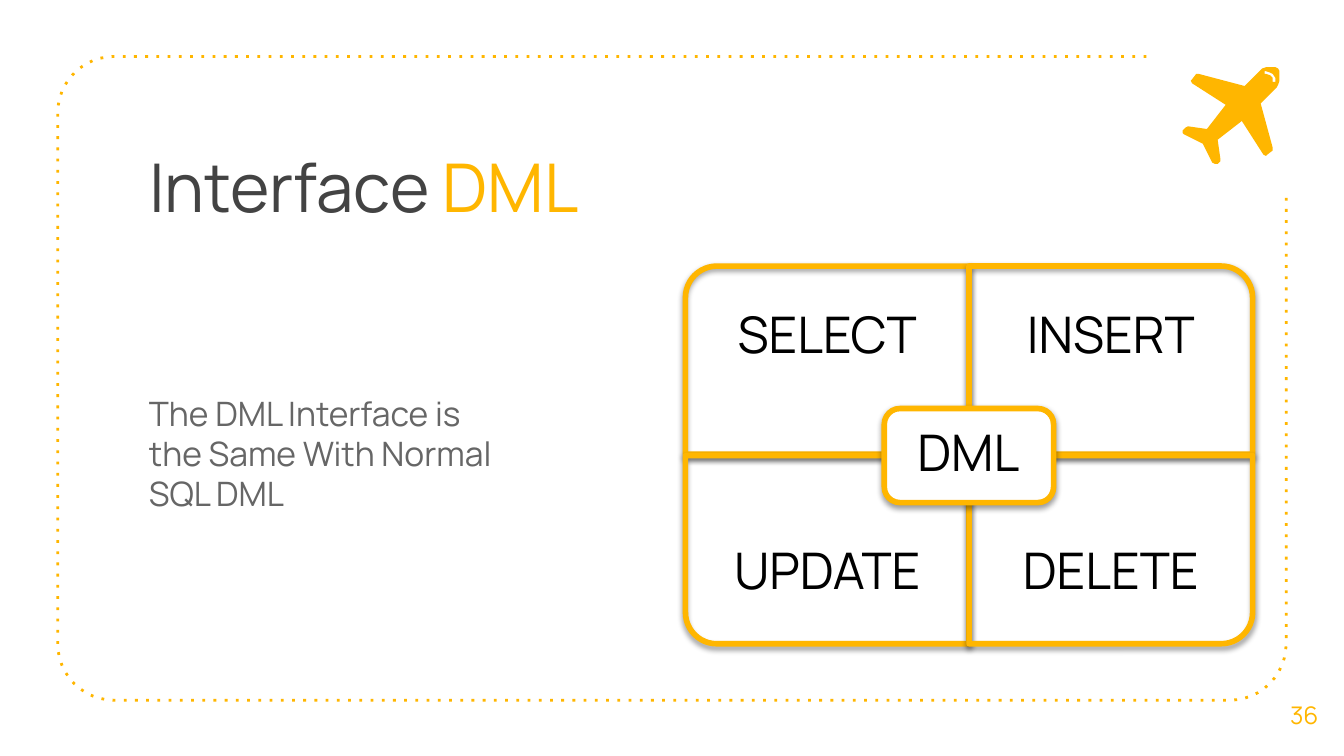
import math

from lxml import etree
from pptx import Presentation
from pptx.dml.color import RGBColor
from pptx.enum.shapes import MSO_SHAPE
from pptx.enum.text import MSO_ANCHOR, PP_ALIGN
from pptx.oxml.ns import qn
from pptx.util import Inches, Pt

CARD, HUB = MSO_SHAPE.ROUND_1_RECTANGLE, MSO_SHAPE.ROUNDED_RECTANGLE
LEFT, CENTER = PP_ALIGN.LEFT, PP_ALIGN.CENTER
TOP, MIDDLE = MSO_ANCHOR.TOP, MSO_ANCHOR.MIDDLE
FONT, GOLD, BLACK = "Manrope", "FFB600", "000000"

# Airplane outline and the window cut out of its nose
PLANE = [
    (9.46, 0.5), (9.42, 0.5), (9.39, 0.51), (9.37, 0.53), (9.26, 0.64),
    (8.92, 0.55), (8.9, 0.55), (8.87, 0.59), (8.86, 0.6), (8.87, 0.62),
    (9.12, 0.78), (8.98, 0.96), (8.84, 0.94), (8.82, 0.95), (8.8, 0.97),
    (8.8, 0.99), (8.81, 1), (8.95, 1.07), (9.02, 1.21), (9.04, 1.22),
    (9.06, 1.22), (9.08, 1.2), (9.08, 1.18), (9.06, 1.04), (9.24, 0.9),
    (9.4, 1.15), (9.42, 1.16), (9.43, 1.15), (9.47, 1.12), (9.47, 1.1),
    (9.38, 0.77), (9.5, 0.65), (9.51, 0.63), (9.52, 0.6), (9.52, 0.53),
    (9.51, 0.51), (9.49, 0.5),
]
GLASS = [
    (9.42, 0.53), (9.45, 0.54), (9.47, 0.55), (9.49, 0.58), (9.49, 0.61),
    (9.48, 0.61), (9.47, 0.61), (9.47, 0.58), (9.45, 0.56), (9.42, 0.55),
    (9.41, 0.55), (9.41, 0.53),
]


def color(code):
    return RGBColor.from_string(code)


def put(shape, *runs, size, align=LEFT, anchor=TOP, inset=0.1, lead=None,
        before=None):
    """Fill a shape with one paragraph of (text, colour) runs."""
    frame = shape.text_frame
    frame.word_wrap = True
    frame.vertical_anchor = anchor
    frame.margin_left = frame.margin_right = Inches(inset)
    frame.margin_top = frame.margin_bottom = Inches(inset)
    para = frame.paragraphs[0]
    para.alignment = align
    if lead:
        para.line_spacing = lead
    if before is not None:
        para.space_before = Pt(before)
    for words, code in runs:
        run = para.add_run()
        run.text = words
        run.font.name, run.font.size = FONT, Pt(size)
        run.font.color.rgb = color(code)


def add_text(shapes, box, *runs, **fmt):
    put(shapes.add_textbox(*map(Inches, box)), *runs, **fmt)


def add_label(shapes, box, words, inset):
    add_text(shapes, box, (words, BLACK), size=27, align=CENTER,
             anchor=MIDDLE, inset=inset, lead=0.9)


def shade(shape):
    """Give a shape a soft shadow straight below it."""
    shape.shadow.inherit = False
    effects = shape.element.spPr.find(qn("a:effectLst"))
    outer = etree.SubElement(effects, qn("a:outerShdw"), blurRad=str(Pt(3.1)),
                             dist=str(Pt(1.6)), dir="5400000", rotWithShape="0")
    tint = etree.SubElement(outer, qn("a:srgbClr"), val=BLACK)
    etree.SubElement(tint, qn("a:alpha"), val="38000")


def add_card(shapes, kind, box, turn=0, fill=None):
    card = shapes.add_shape(kind, *map(Inches, box))
    card.rotation = turn
    if fill:
        card.fill.solid()
        card.fill.fore_color.rgb = color(fill)
    else:
        card.fill.background()
    card.line.color.rgb = color(GOLD)
    card.line.width = Pt(3)
    shade(card)


def add_path(shapes, *loops, close):
    """Build one freeform from lists of points in inches."""
    loops = [[(Inches(x), Inches(y)) for x, y in loop] for loop in loops]
    pen = shapes.build_freeform(*loops[0][0])
    for i, loop in enumerate(loops):
        if i:
            pen.move_to(*loop[0])
        pen.add_line_segments(loop[1:], close=close)
    path = pen.convert_to_shape()
    path.shadow.inherit = False
    return path


def arc(x, y, radius, start):
    """Points of a quarter turn, running against the clock."""
    turns = [math.radians(start - 7.5 * i) for i in range(13)]
    return [(x + radius * math.cos(t), y + radius * math.sin(t))
            for t in turns]


def add_frame(shapes):
    left, top, right, low, r = 0.43, 0.42, 9.57, 5.21, 0.42
    points = [(8.53, top)]
    points += arc(left + r, top + r, r, 270)
    points += arc(left + r, low - r, r, 180)
    points += arc(right - r, low - r, r, 90)
    points += [(right, 1.46)]
    frame = add_path(shapes, points, close=False)
    frame.fill.background()
    frame.line.color.rgb = color(GOLD)
    frame.line.width = Pt(1.5)
    # The wide-spaced "dot" dash has no enum member
    line = frame.element.spPr.find(qn("a:ln"))
    etree.SubElement(line, qn("a:prstDash"), val="dot")


def add_matrix(shapes):
    """Four cards, each with its round corner outward, around a hub."""
    left, top, wide, high, tall = 5.1, 1.98, 2.11, 1.4, 1.05
    cells = [("SELECT", 270), ("INSERT", 0), ("UPDATE", 180), ("DELETE", 90)]
    for i, (words, turn) in enumerate(cells):
        row, col = divmod(i, 2)
        x, y = left + col * wide, top + row * (high + 0.01)
        w, h = (high, wide) if turn % 180 else (wide, high)
        box = (x + (wide - w) / 2, y + (high - h) / 2, w, h)
        add_card(shapes, CARD, box, turn)
        add_label(shapes, (x, y + row * (high - tall), wide, tall), words,
                  0.21)
    add_card(shapes, HUB, (6.58, 3.04, 1.26, 0.7), fill="FFFFFF")
    add_label(shapes, (6.61, 3.07, 1.19, 0.63), "DML", 0.11)


def main():
    deck = Presentation()
    deck.slide_width = Inches(10)
    deck.slide_height = Inches(10 * 9 / 16)
    slide = deck.slides.add_slide(deck.slide_layouts[5])
    shapes = slide.shapes

    # Dotted border
    add_frame(shapes)

    # Title
    title = shapes.title
    title.left, title.top = Inches(1.01), Inches(0.98)
    title.width, title.height = Inches(4.76), Inches(1.41)
    put(title, ("Interface ", "434343"), ("DML", GOLD), size=36, before=0)

    # Page number
    add_text(shapes, (9.41, 5.02, 0.59, 0.6), ("36", GOLD), size=13,
             align=CENTER, anchor=MIDDLE)

    # Statement matrix
    add_matrix(shapes.add_group_shape().shapes)

    # Body
    add_text(shapes, (1.01, 2.82, 2.82, 1.25),
             ("The DML Interface is the Same With Normal SQL DML", "666666"),
             size=18, before=6)

    # Airplane
    plane = add_path(shapes, GLASS, PLANE, close=True)
    plane.fill.solid()
    plane.fill.fore_color.rgb = color(GOLD)
    plane.line.fill.background()

    deck.save("out.pptx")


if __name__ == "__main__":
    main()
